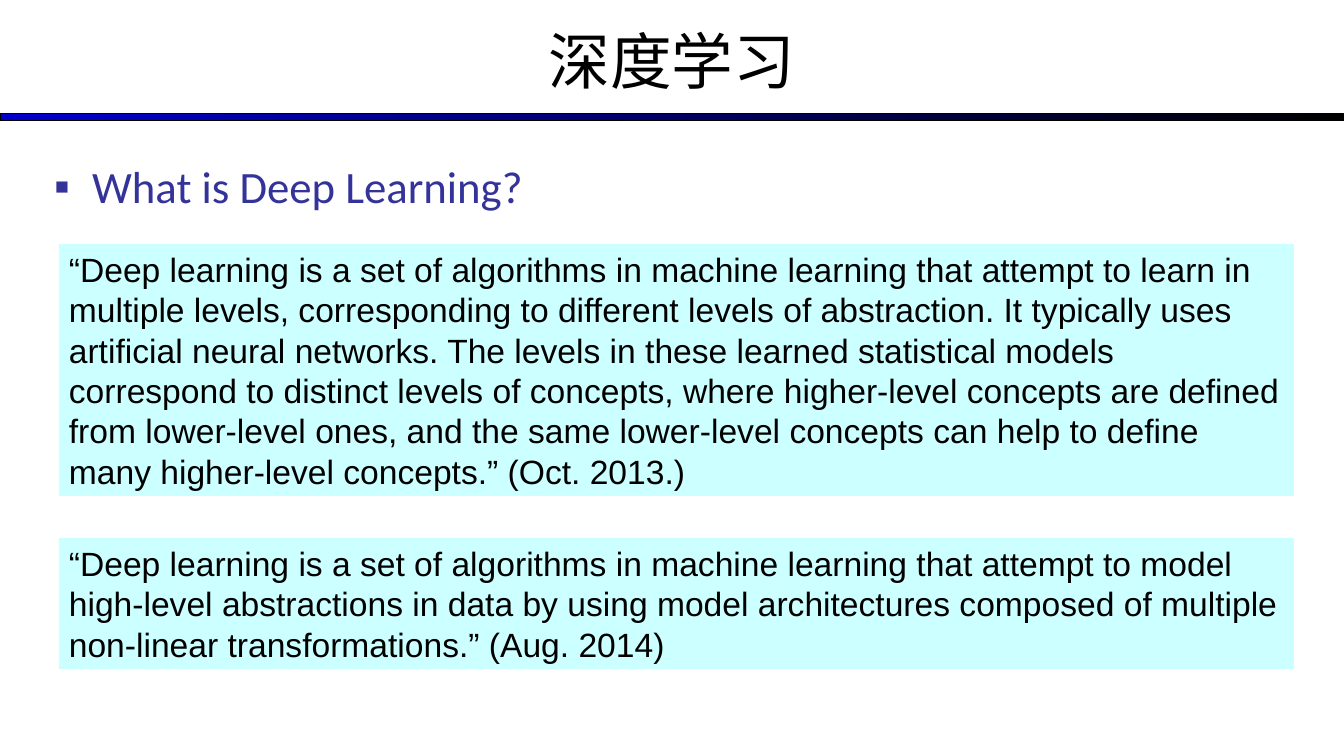
from lxml import etree
from pptx import Presentation
from pptx import util as u
from pptx.dml.color import RGBColor
from pptx.enum import shapes, text
from pptx.oxml.ns import qn

SCALE = 914400 / 100.8
WIDE, HIGH = 1344, 756
BLACK, NAVY, PALE = "000000", "333399", "CCFFFF"
QUOTES = [
    (244, 252, "“Deep learning is a set of algorithms in machine learning that "
     "attempt to learn in multiple levels, corresponding to different levels of "
     "abstraction. It typically uses artificial neural networks. The levels in "
     "these learned statistical models correspond to distinct levels of concepts, "
     "where higher-level concepts are defined from lower-level ones, and the same "
     "lower-level concepts can help to define many higher-level concepts.” "
     "(Oct. 2013.)"),
    (538, 131, "“Deep learning is a set of algorithms in machine learning that "
     "attempt to model high-level abstractions in data by using model "
     "architectures composed of multiple non-linear transformations.” "
     "(Aug. 2014)"),
]


def px(n):
    return u.Emu(round(n * SCALE))


def color(code):
    return RGBColor.from_string(code)


def place(shape, box):
    shape.left, shape.top, shape.width, shape.height = map(px, box)


def write(shape, words, size, face, code, align, anchor):
    frame = shape.text_frame
    frame.word_wrap = True
    frame.auto_size = text.MSO_AUTO_SIZE.NONE
    frame.vertical_anchor = anchor
    para = frame.paragraphs[0]
    para.alignment = align
    run = para.add_run()
    run.text = words
    run.font.size = u.Pt(size)
    run.font.name = face
    run.font.color.rgb = color(code)
    return para


def add_rect(slide, box):
    rect = slide.shapes.add_shape(shapes.MSO_SHAPE.RECTANGLE, *map(px, box))
    rect.shadow.inherit = False
    return rect


def add_rule(slide, box):
    rule = add_rect(slide, box)
    rule.fill.gradient()
    rule.fill.gradient_angle = 0
    for stop, (spot, code) in zip(rule.fill.gradient_stops,
                                  [(0, "0000CC"), (1, BLACK)]):
        stop.position = spot
        stop.color.rgb = color(code)
    rule.line.color.rgb = color(BLACK)
    rule.line.width = u.Pt(0.75)


def add_title(slide, box):
    title = slide.shapes.title
    place(title, box)
    write(title, "深度学习", 44, "Calibri", BLACK,
          text.PP_ALIGN.CENTER, text.MSO_ANCHOR.MIDDLE)


def add_list(slide, box):
    body = slide.placeholders[1]
    place(body, box)
    para = write(body, "What is Deep Learning?", 32, "Calibri", NAVY,
                 text.PP_ALIGN.LEFT, text.MSO_ANCHOR.TOP)
    props = para._p.get_or_add_pPr()
    props.set("marL", str(px(38)))
    props.set("indent", str(-px(38)))
    tint = etree.SubElement(props, qn("a:buClr"))
    etree.SubElement(tint, qn("a:srgbClr"), val=NAVY)
    etree.SubElement(props, qn("a:buFont"), typeface="Arial")
    etree.SubElement(props, qn("a:buChar"), char="▪")


def add_quote(slide, box, words):
    quote = add_rect(slide, box)
    quote.fill.solid()
    quote.fill.fore_color.rgb = color(PALE)
    quote.line.fill.background()
    write(quote, words, 24, "Arial", BLACK,
          text.PP_ALIGN.LEFT, text.MSO_ANCHOR.TOP)


def main():
    deck = Presentation()
    deck.slide_width, deck.slide_height = px(WIDE), px(HIGH)
    slide = deck.slides.add_slide(deck.slide_layouts[1])
    add_rule(slide, (0, 114, WIDE, 7))
    add_title(slide, (0, -3, WIDE, 126))
    add_list(slide, (44, 154, 1254, 521))
    for top, high, words in QUOTES:
        add_quote(slide, (59, top, 1235, high), words)
    deck.save("out.pptx")


if __name__ == "__main__":
    main()
